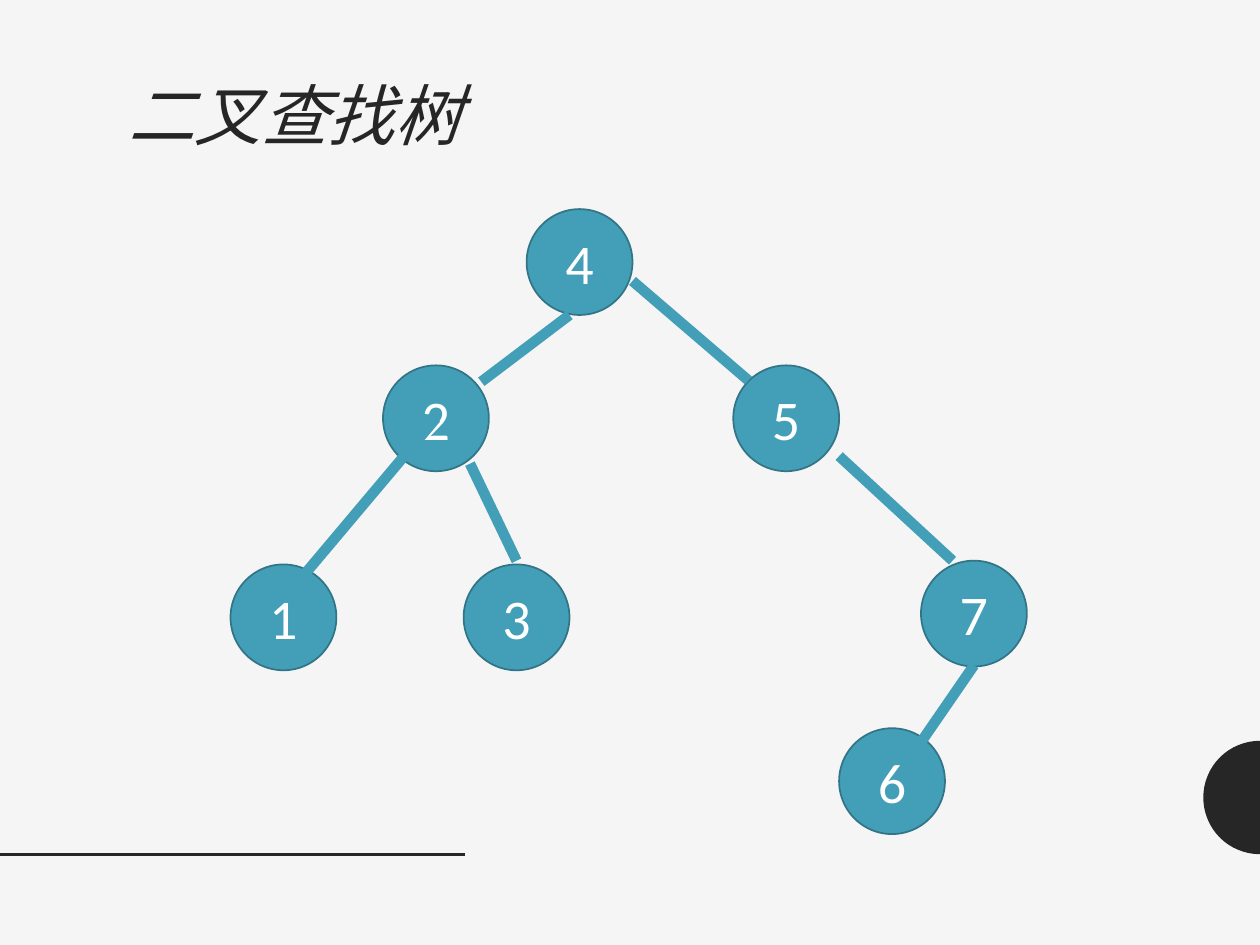
import math

import pptx
import pptx.dml.color
import pptx.enum.shapes
import pptx.enum.text
import pptx.oxml.ns
import pptx.util
from lxml import etree

Inches, Pt = pptx.util.Inches, pptx.util.Pt
ALIGN, ANCHOR = pptx.enum.text.PP_ALIGN, pptx.enum.text.MSO_ANCHOR

# Content
TITLE = "二叉查找树"
NODE_SIZE = 0.84
NODES = [  # key, left, top
    ("6", 6.66, 5.78),
    ("7", 7.31, 4.45),
    ("3", 3.68, 4.48),
    ("1", 1.83, 4.48),
    ("5", 5.82, 2.9),
    ("2", 3.04, 2.9),
    ("4", 4.18, 1.66),
]
EDGES = [  # start, end
    ((7.31, 5.89), (7.73, 5.28)),
    ((6.66, 3.62), (7.56, 4.45)),
    ((3.73, 3.68), (4.1, 4.45)),
    ((5.02, 2.23), (5.94, 3.02)),
    ((3.82, 3.03), (4.52, 2.5)),
    ((2.34, 4.65), (3.46, 3.32)),
]
PAPER, INK, TEAL, DARK_TEAL, WHITE = "F5F5F5", "262626", "439EB7", "327587", "FFFFFF"


def color(value):
    return pptx.dml.color.RGBColor.from_string(value)


def paint(fill, value):
    fill.solid()
    fill.fore_color.rgb = color(value)


def write(shape, text, *, size, font, fill, align, anchor, italic=False, spacing=1.0):
    frame = shape.text_frame
    frame.word_wrap = True
    frame.auto_size = pptx.enum.text.MSO_AUTO_SIZE.NONE
    frame.vertical_anchor = anchor
    para = frame.paragraphs[0]
    para.alignment = align
    para.line_spacing = spacing
    span = para.add_run()
    span.text = text
    span.font.size = Pt(size)
    span.font.name = font
    span.font.italic = italic
    span.font.color.rgb = color(fill)


def add_line(start, end, value, width):
    line = page.shapes.add_connector(
        pptx.enum.shapes.MSO_CONNECTOR.STRAIGHT, *map(Inches, start + end))
    line.line.color.rgb = color(value)
    line.line.width = Pt(width)
    properties = line._element.spPr
    etree.SubElement(properties, pptx.oxml.ns.qn("a:effectLst"))


def add_half_disc(center_x, center_y, radius, steps=32):
    points = []
    for step in range(steps + 1):
        angle = math.pi / 2 + math.pi * step / steps
        points.append((Inches(center_x + radius * math.cos(angle)),
                       Inches(center_y + radius * math.sin(angle))))
    builder = page.shapes.build_freeform(*points[0])
    builder.add_line_segments(points[1:], close=True)
    disc = builder.convert_to_shape()
    disc.shadow.inherit = False
    paint(disc.fill, INK)
    disc.line.fill.background()


deck = pptx.Presentation()
deck.slide_width, deck.slide_height = Inches(10), Inches(7.5)
page = deck.slides.add_slide(deck.slide_layouts[5])
paint(page.background.fill, PAPER)

# Edge decorations
add_half_disc(10, 6.33, 0.45)
add_line((0, 6.78), (3.69, 6.78), INK, 2)

# Title
title = page.shapes.title
title.left, title.top, title.width, title.height = map(Inches, (0.62, 0.61, 3.14, 5.42))
write(title, TITLE, size=38, font="TeX Gyre Schola", fill=INK, align=ALIGN.RIGHT,
      anchor=ANCHOR.TOP, italic=True, spacing=0.9)

# Tree nodes
for key, left, top in NODES:
    node = page.shapes.add_shape(
        pptx.enum.shapes.MSO_SHAPE.OVAL,
        *map(Inches, (left, top, NODE_SIZE, NODE_SIZE)))
    node.shadow.inherit = False
    paint(node.fill, TEAL)
    node.line.color.rgb = color(DARK_TEAL)
    node.line.width = Pt(1)
    write(node, key, size=32, font="Calibri", fill=WHITE, align=ALIGN.CENTER,
          anchor=ANCHOR.MIDDLE)

# Tree edges
for start, end in EDGES:
    add_line(start, end, TEAL, 6)

deck.save("out.pptx")
